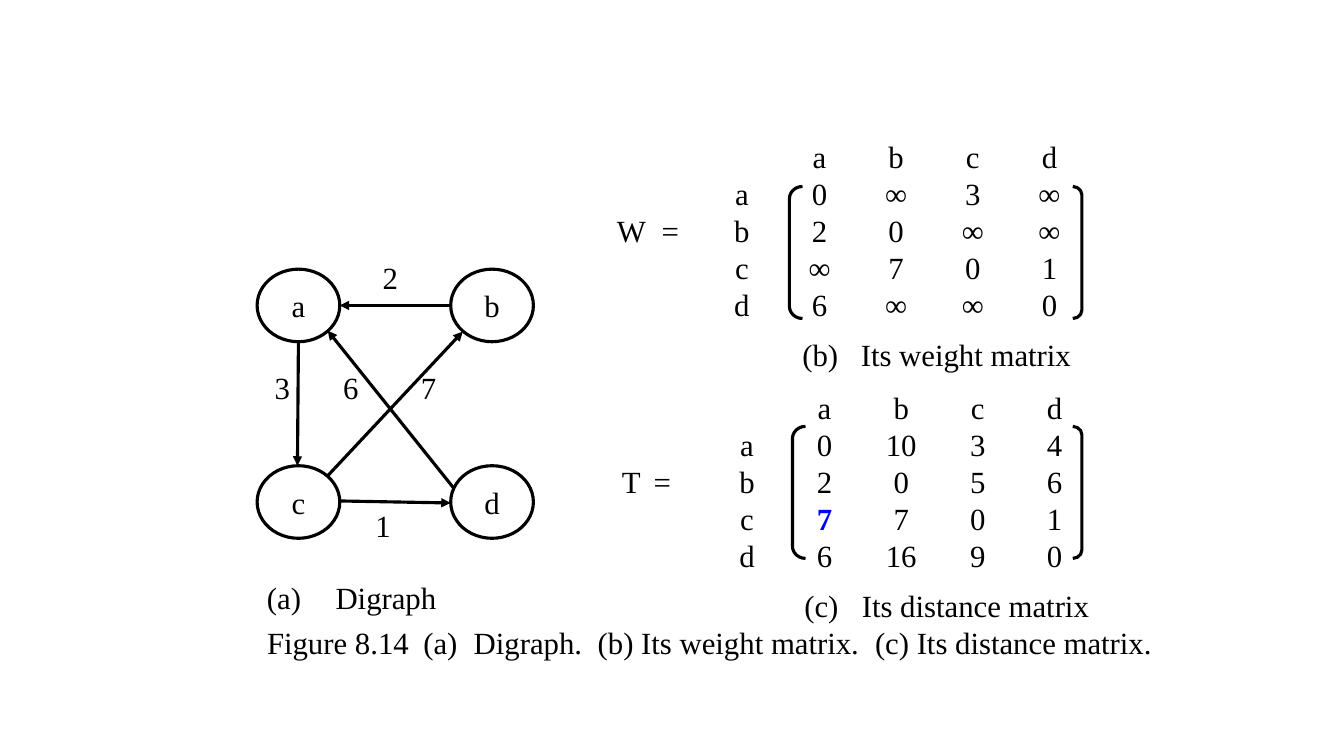
from pptx import Presentation
from pptx.dml.color import RGBColor
from pptx.enum.shapes import MSO_CONNECTOR, MSO_SHAPE
from pptx.enum.text import MSO_ANCHOR, PP_ALIGN
from pptx.oxml.ns import qn
from pptx.util import Inches, Pt
from lxml.etree import SubElement

THEME = {
    "ink": RGBColor(0, 0, 0),
    "paper": RGBColor(255, 255, 255),
    "accent": RGBColor(0, 0, 255),
    "line": Pt(2.25),
    "font": {"name": "Times New Roman", "size": Pt(22), "bold": False},
}

prs = Presentation()
prs.slide_width, prs.slide_height = Inches(13.33), Inches(7.5)
s = prs.slides.add_slide(prs.slide_layouts[6])


def write(p, text, tabs=(), align=PP_ALIGN.LEFT):
    """Fill a paragraph; tabs are (inches, kind), *marked* text is accented."""
    p.alignment = align
    if tabs:
        tab_list = SubElement(p._p.get_or_add_pPr(), qn("a:tabLst"))
        for pos, kind in tabs:
            SubElement(tab_list, qn("a:tab"), pos=str(int(Inches(pos))), algn=kind)
    for i, piece in enumerate(text.split("*")):
        r = p.add_run()
        r.text = piece
        for key, value in THEME["font"].items():
            setattr(r.font, key, value)
        r.font.color.rgb = THEME["accent"] if i % 2 else THEME["ink"]
        if i % 2:
            r.font.bold = True


def add_text(x, y, w, lines, tabs=(), align=PP_ALIGN.LEFT):
    """Add a text box with one paragraph for each line."""
    height = 0.1 + 0.37 * len(lines)
    tf = s.shapes.add_textbox(Inches(x), Inches(y), Inches(w), Inches(height)).text_frame
    tf.word_wrap = True
    for i, line in enumerate(lines):
        write(tf.add_paragraph() if i else tf.paragraphs[0], line, tabs, align)


# Digraph edges, behind the nodes
for x1, y1, x2, y2 in [
    (3.36, 4.97, 4.47, 4.99),
    (4.73, 5.13, 3.25, 3.28),
    (4.48, 3.03, 3.37, 3.03),
    (2.96, 3.39, 2.95, 4.62),
    (3.11, 4.87, 4.59, 3.29),
]:
    edge = s.shapes.add_connector(
        MSO_CONNECTOR.STRAIGHT, Inches(x1), Inches(y1), Inches(x2), Inches(y2))
    edge.line.color.rgb = THEME["ink"]
    edge.line.width = THEME["line"]
    SubElement(edge.line._get_or_add_ln(), qn("a:tailEnd"), type="triangle")
    SubElement(edge._element.spPr, qn("a:effectLst"))

# Digraph nodes on a two by two grid
for i, name in enumerate("abcd"):
    row, col = divmod(i, 2)
    node = s.shapes.add_shape(
        MSO_SHAPE.OVAL, Inches(2.55 + 1.92 * col), Inches(2.67 + 1.95 * row),
        Inches(0.82), Inches(0.72))
    node.shadow.inherit = False
    node.fill.solid()
    node.fill.fore_color.rgb = THEME["paper"]
    node.line.color.rgb = THEME["ink"]
    node.line.width = THEME["line"]
    node.text_frame.vertical_anchor = MSO_ANCHOR.MIDDLE
    write(node.text_frame.paragraphs[0], name, align=PP_ALIGN.CENTER)

# Edge weights
for weight, x, y in [("3", 2.58, 3.61), ("6", 3.26, 3.61), ("7", 4.03, 3.61),
                     ("2", 3.65, 2.52), ("1", 3.58, 4.98)]:
    add_text(x, y, 0.44, [weight], align=PP_ALIGN.CENTER)

# Matrices: name, equals sign, row label and four columns on centred tabs
matrices = [
    (6.02, 1.32, 0.53, [
        "\t\t\ta\tb\tc\td",
        "\t\ta\t0\t∞\t3\t∞",
        "W\t=\tb\t2\t0\t∞\t∞",
        "\t\tc\t∞\t7\t0\t1",
        "\t\td\t6\t∞\t∞\t0",
    ]),
    (6.07, 3.81, 0.4, [
        "\t\t\ta\tb\tc\td",
        "\t\ta\t0\t10\t3\t4",
        "T\t=\tb\t2\t0\t5\t6",
        "\t\tc\t*7*\t7\t0\t1",
        "\t\td\t6\t16\t9\t0",
    ]),
]
for x, y, equals, rows in matrices:
    stops = [equals, 1.24] + [2.01 + 0.76 * col for col in range(4)]
    add_text(x, y, 5, rows, [(stop, "ctr") for stop in stops])

# Matrix brackets
for kind, x, y, w in [
    (MSO_SHAPE.LEFT_BRACKET, 7.83, 1.85, 0.13),
    (MSO_SHAPE.RIGHT_BRACKET, 10.64, 1.85, 0.09),
    (MSO_SHAPE.LEFT_BRACKET, 7.86, 4.23, 0.13),
    (MSO_SHAPE.RIGHT_BRACKET, 10.64, 4.23, 0.09),
]:
    bracket = s.shapes.add_shape(kind, Inches(x), Inches(y), Inches(w), Inches(1.31))
    bracket.adjustments[0] = 0.93
    bracket.shadow.inherit = False
    bracket.fill.background()
    bracket.line.color.rgb = THEME["ink"]
    bracket.line.width = THEME["line"]

# Captions
for x, y, text, indent in [
    (2.55, 5.69, "(a)\tDigraph", 0.68),
    (7.86, 3.28, "(b)\tIts weight matrix", 0.58),
    (7.88, 5.77, "(c)\tIts distance matrix", 0.57),
]:
    add_text(x, y, 3.2, [text], [(indent, "l")])
add_text(2.55, 6.14, 9.35,
         ["Figure 8.14\t(a)\tDigraph.\t(b) Its weight matrix.\t(c) Its distance matrix."],
         [(stop, "l") for stop in (1.55, 2.05, 3.28, 6.03)])

prs.save("out.pptx")
